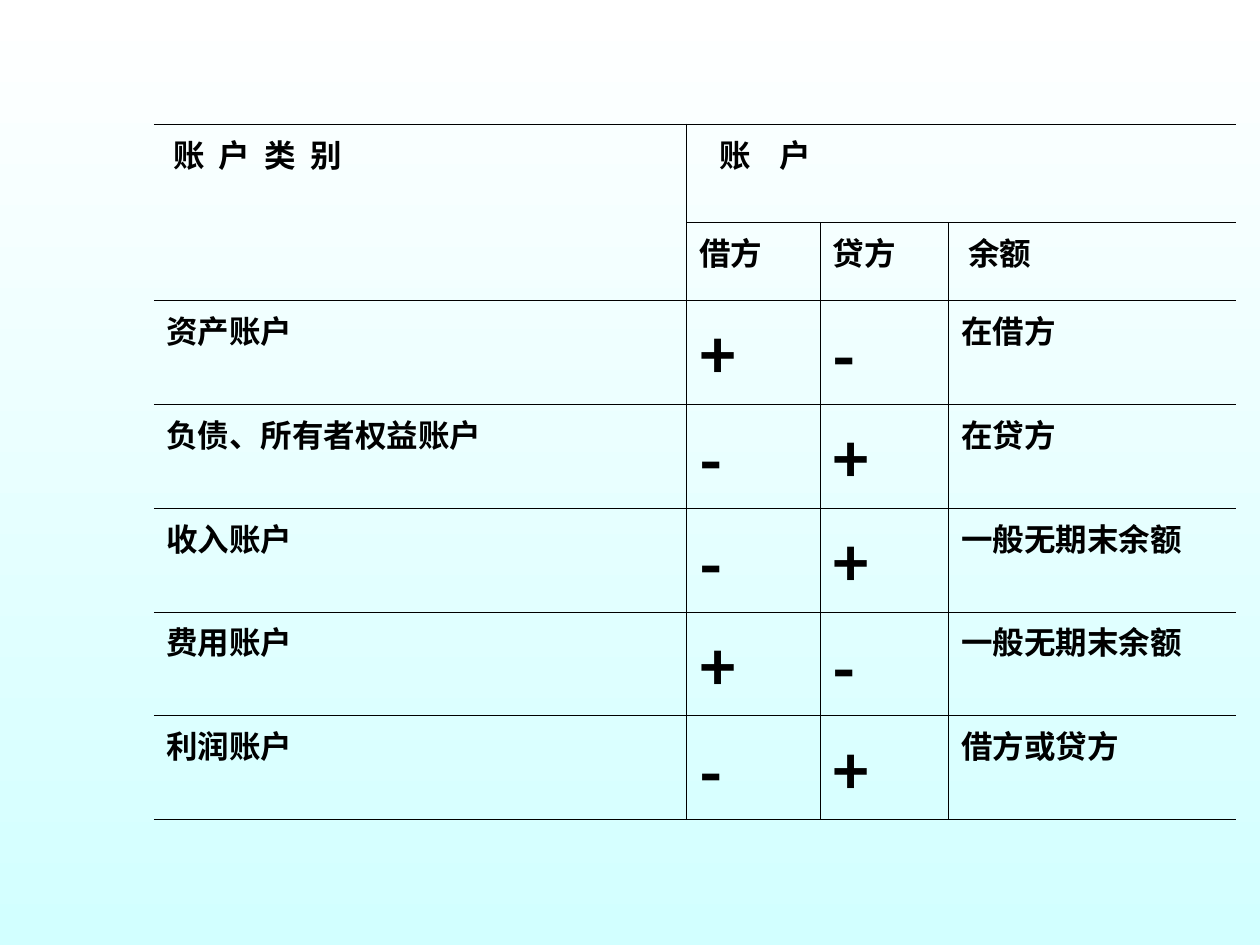
"""Build a slide with a table of debit and credit rules by account type."""
from lxml import etree
from pptx import Presentation
from pptx import util as u
from pptx.dml.color import RGBColor
from pptx.oxml.ns import qn

COLORS = {"top": "FFFFFF", "bottom": "D2FFFF", "ink": "000000"}
FONT = "Noto Sans CJK SC"
ROWS = [
    ("账 户 类 别", "账 户", "", ""),
    ("", "借方", "贷方", "余额"),
    ("资产账户", "+", "-", "在借方"),
    ("负债、所有者权益账户", "-", "+", "在贷方"),
    ("收入账户", "-", "+", "一般无期末余额"),
    ("费用账户", "+", "-", "一般无期末余额"),
    ("利润账户", "-", "+", "借方或贷方"),
]
COL_WIDTHS = [10.74, 2.69, 2.59, 5.79]
ROW_HEIGHTS = [1.98, 1.57] + [1.78] * 5
INDENTS = {(0, 0): 0.14, (0, 1): 0.42, (1, 3): 0.14}
SPACING = {(0, 0): 200, (0, 1): 600}
THIN, THICK = 0.45, 1.08


def write(cell, value, indent, spacing):
    p = cell.text_frame.paragraphs[0]
    if indent:
        p._p.get_or_add_pPr().set("marL", str(u.Cm(indent)))
    r = p.add_run()
    r.text = value
    r.font.size = u.Pt(36 if value in "+-" else 18)
    r.font.bold = True
    r.font.name = FONT
    r.font.color.rgb = RGBColor.from_string(COLORS["ink"])
    rPr = r._r.get_or_add_rPr()
    etree.SubElement(rPr, qn("a:ea")).set("typeface", FONT)
    if spacing:
        rPr.set("spc", str(spacing))


def set_borders(cell, widths):
    tcPr = cell._tc.get_or_add_tcPr()
    for i, (side, width) in enumerate(widths.items()):
        ln = etree.Element(qn("a:ln" + side))
        if width:
            ln.set("w", str(u.Pt(width)))
            fill = etree.SubElement(ln, qn("a:solidFill"))
            etree.SubElement(fill, qn("a:srgbClr")).set("val", COLORS["ink"])
        else:
            etree.SubElement(ln, qn("a:noFill"))
        tcPr.insert(i, ln)


def main():
    prs = Presentation()
    prs.slide_width, prs.slide_height = u.Cm(25.4), u.Cm(19.05)
    s = prs.slides.add_slide(prs.slide_layouts[6])
    bg = s.background.fill
    bg.gradient()
    bg.gradient_angle = 270
    for stop, name in zip(bg.gradient_stops, ("top", "bottom")):
        stop.color.rgb = RGBColor.from_string(COLORS[name])

    n_rows, n_cols = len(ROWS), len(COL_WIDTHS)
    tbl = s.shapes.add_table(n_rows, n_cols, u.Cm(3.1), u.Cm(2.51),
                             u.Cm(sum(COL_WIDTHS)), u.Cm(sum(ROW_HEIGHTS))).table
    tbl.first_row = tbl.horz_banding = False
    for col, width in zip(tbl.columns, COL_WIDTHS):
        col.width = u.Cm(width)
    for row, height in zip(tbl.rows, ROW_HEIGHTS):
        row.height = u.Cm(height)
    tbl.cell(0, 0).merge(tbl.cell(1, 0))
    tbl.cell(0, 1).merge(tbl.cell(0, 3))

    for i, values in enumerate(ROWS):
        for j, value in enumerate(values):
            cell = tbl.cell(i, j)
            cell.fill.background()
            last_row = i + cell.span_height == n_rows
            last_col = j + cell.span_width == n_cols
            set_borders(cell, {"L": THIN if j else 0,
                               "R": 0 if last_col else THIN,
                               "T": THIN if i else THICK,
                               "B": THICK if last_row else THIN})
            if value:
                write(cell, value, INDENTS.get((i, j)), SPACING.get((i, j)))
    prs.save("out.pptx")


if __name__ == "__main__":
    main()
